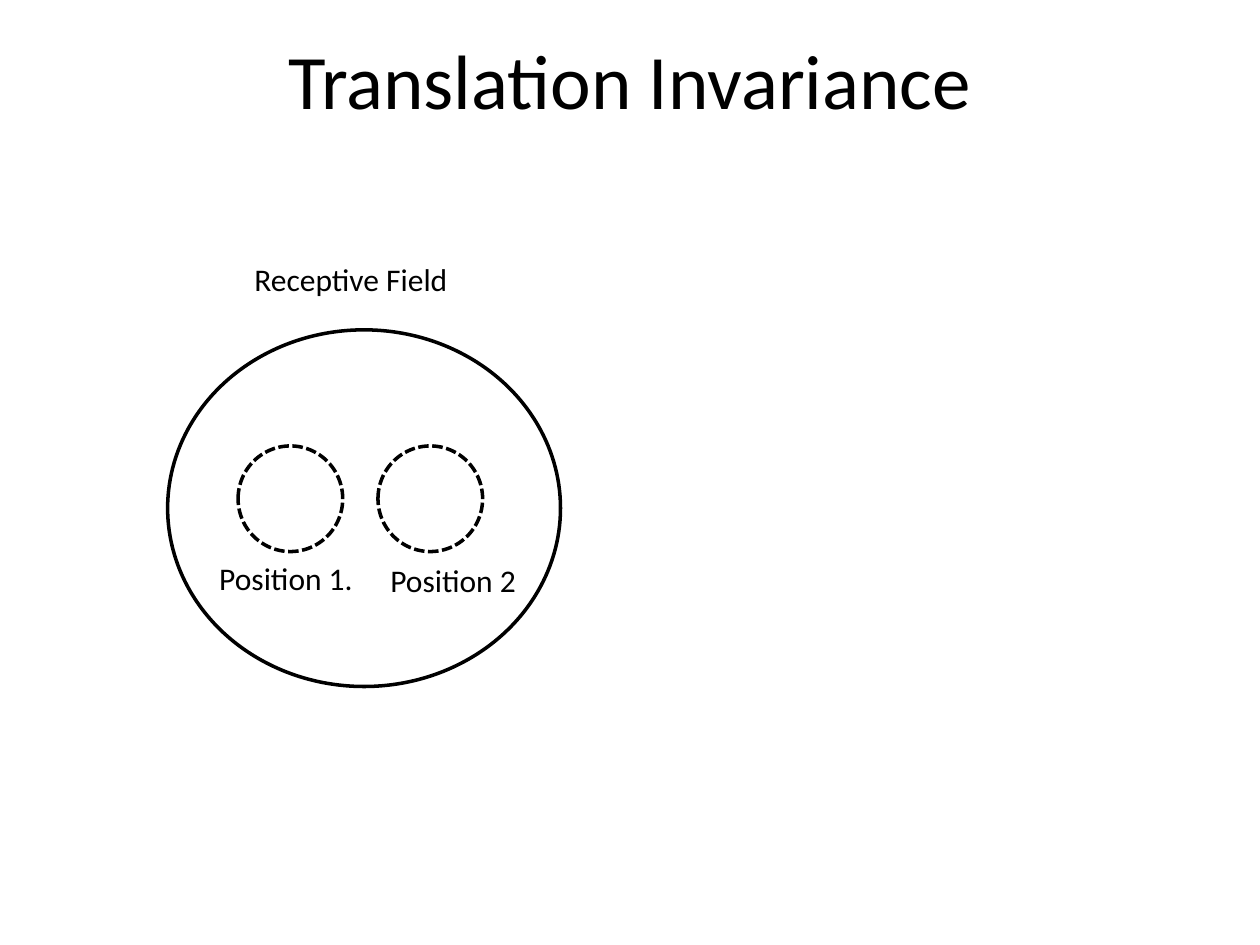
from pptx import Presentation
from pptx.dml.color import RGBColor
from pptx.enum.dml import MSO_LINE
from pptx.enum.shapes import MSO_SHAPE
from pptx.enum.text import MSO_ANCHOR, PP_ALIGN
from pptx.util import Cm, Pt

BLACK = RGBColor(0, 0, 0)
WHITE = RGBColor(255, 255, 255)
FONT = "Calibri"
OVAL = MSO_SHAPE.OVAL
SOLID, DASHED = MSO_LINE.SOLID, MSO_LINE.SQUARE_DOT
LEFT, CENTER = PP_ALIGN.LEFT, PP_ALIGN.CENTER
TOP, MIDDLE = MSO_ANCHOR.TOP, MSO_ANCHOR.MIDDLE

# Content, lengths in cm: left, top, width, height
TITLE = ("Translation Invariance", (1.27, 0, 22.86, 3.18))
FIELD = (3.38, 6.65, 7.92, 7.19)
POSITION_LEFTS = (4.8, 7.62)
POSITION_TOP, POSITION_W, POSITION_H = 8.99, 2.11, 2.13
LABELS = [
    ("Receptive Field", (4.88, 5.11, 4.47, 1.02)),
    ("Position 1.", (4.17, 11.15, 3.25, 1.02)),
    ("Position 2", (7.62, 11.18, 3.07, 1.02)),
]


def add_ellipse(s, box, dash):
    sp = s.shapes.add_shape(OVAL, *map(Cm, box))
    sp.shadow.inherit = False
    sp.fill.solid()
    sp.fill.fore_color.rgb = WHITE
    sp.line.color.rgb = BLACK
    sp.line.width = Pt(2)
    sp.line.dash_style = dash


def add_text(s, text, box, size, align=LEFT, anchor=TOP, wrap=False):
    tf = s.shapes.add_textbox(*map(Cm, box)).text_frame
    tf.word_wrap = wrap
    tf.vertical_anchor = anchor
    tf.text = text
    p = tf.paragraphs[0]
    p.alignment = align
    font = p.runs[0].font
    font.name, font.size = FONT, Pt(size)
    font.color.rgb = BLACK


prs = Presentation()
prs.slide_width, prs.slide_height = Cm(25.4), Cm(19.05)
s = prs.slides.add_slide(prs.slide_layouts[6])

# Title
add_text(s, *TITLE, 44, CENTER, MIDDLE, True)

# Receptive field with the two stimulus positions inside
add_ellipse(s, FIELD, SOLID)
for left in POSITION_LEFTS:
    add_ellipse(s, (left, POSITION_TOP, POSITION_W, POSITION_H), DASHED)

# Labels
for text, box in LABELS:
    add_text(s, text, box, 18)

prs.save("out.pptx")
